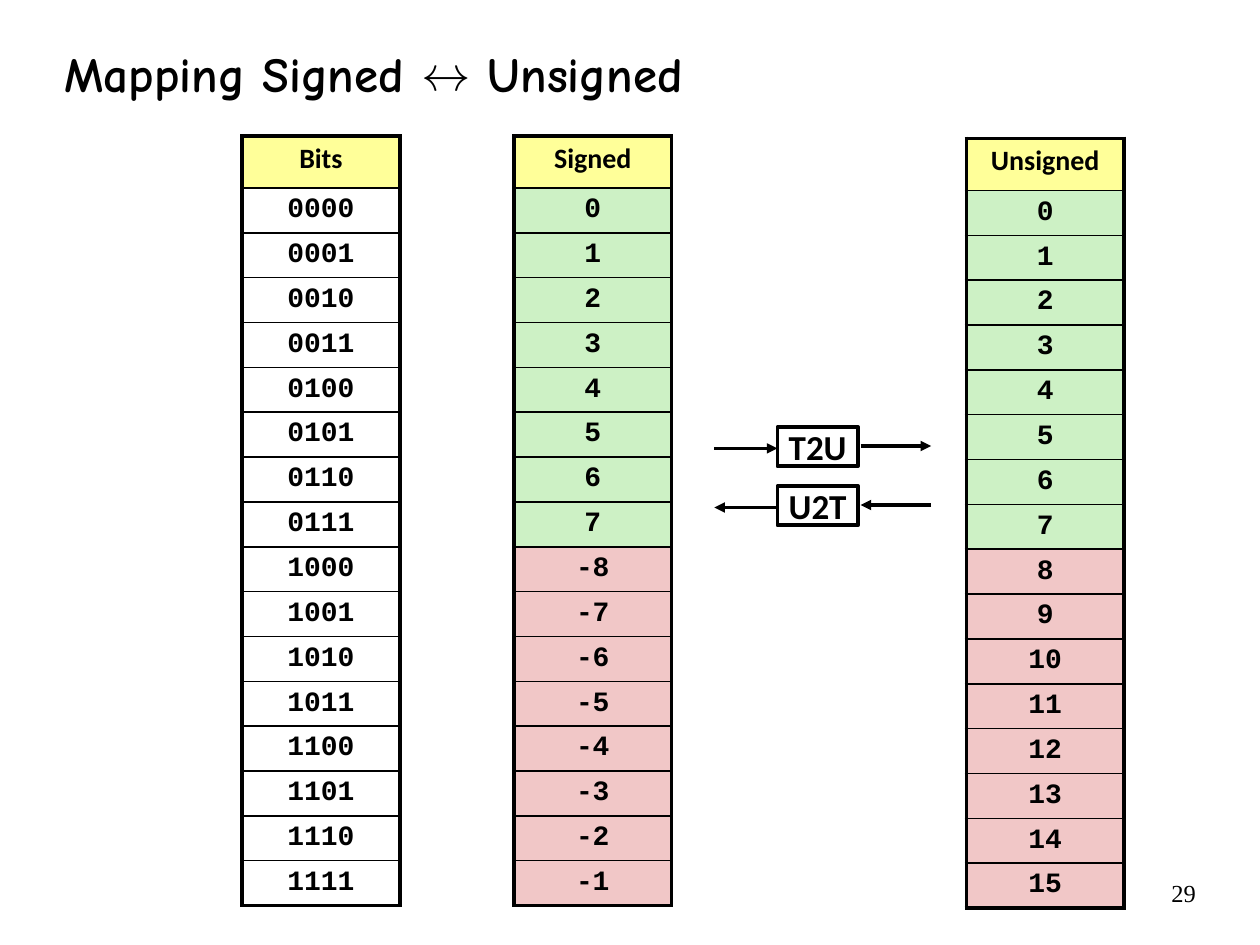
"""Build the slide that maps signed numbers to unsigned numbers."""
import pptx
import pptx.dml.color
import pptx.enum.shapes
import pptx.enum.text
import pptx.oxml
import pptx.oxml.ns
import pptx.util

Cm = pptx.util.Cm
Pt = pptx.util.Pt
ALIGN = pptx.enum.text.PP_ALIGN
ANCHOR = pptx.enum.text.MSO_ANCHOR

COLORS = {
    "ink": "000000",
    "paper": "FFFFFF",
    "header": "FFFF99",
    "same": "CDF1C5",
    "changed": "F1C7C7",
}

TITLE_FONT = {"name": "Comic Neue", "size": Pt(28), "bold": True}
HEADER_FONT = {"name": "Calibri", "size": Pt(16), "bold": True}
VALUE_FONT = {"name": "Courier New", "size": Pt(16), "bold": True}
LABEL_FONT = {"name": "Calibri", "size": Pt(20), "bold": True}
NUMBER_FONT = {"name": "Times New Roman", "size": Pt(14), "bold": False}

TITLE_FRAME = {
    "word_wrap": False,
    "vertical_anchor": ANCHOR.MIDDLE,
    "margin_left": Cm(0.18),
    "margin_right": Cm(0.18),
    "margin_top": Cm(0.08),
    "margin_bottom": Cm(0.08),
}
LABEL_FRAME = {"word_wrap": False, "vertical_anchor": ANCHOR.MIDDLE}
NUMBER_FRAME = {"word_wrap": True}
CELL_FRAME = {
    "margin_left": Cm(0.13),
    "margin_right": Cm(0.13),
    "margin_top": Cm(0.13),
    "margin_bottom": Cm(0.13),
    "vertical_anchor": ANCHOR.TOP,
}

COLUMN_WIDTH = 3.18
HEADER_HEIGHT = 1.05
VALUE_HEIGHT = 0.9
THICK, THIN = 2.25, 1
BOX_LEFT, BOX_WIDTH, BOX_HEIGHT = 15.67, 1.63, 0.79


def color(name):
    """Return the named colour as an RGB value."""
    return pptx.dml.color.RGBColor.from_string(COLORS[name])


def apply(target, values):
    """Set every attribute in values on the target."""
    for name, value in values.items():
        setattr(target, name, value)


def write(frame, text, font, align):
    """Write one formatted paragraph into a text frame."""
    para = frame.paragraphs[0]
    para.alignment = align
    span = para.add_run()
    span.text = text
    apply(span.font, font)
    span.font.color.rgb = color("ink")
    return para


def add_text(page, place, text, font, frame_format, align):
    """Add a text box at the given place."""
    box = page.shapes.add_textbox(*map(Cm, place))
    apply(box.text_frame, frame_format)
    write(box.text_frame, text, font, align)


def add_borders(cell, first, last):
    """Draw the cell borders, thick on the outside of the column."""
    widths = {
        "lnL": THICK,
        "lnR": THICK,
        "lnT": THICK if first else THIN,
        "lnB": THICK if last else THIN,
    }
    properties = cell._tc.get_or_add_tcPr()
    for tag, width in widths.items():
        properties.append(pptx.oxml.parse_xml(
            f'<a:{tag} {pptx.oxml.ns.nsdecls("a")} w="{Pt(width)}"><a:solidFill>'
            f'<a:srgbClr val="{COLORS["ink"]}"/></a:solidFill></a:{tag}>'))


def fill_cell(cell, text, font, fill):
    """Write a cell and colour its background."""
    apply(cell, CELL_FRAME)
    para = write(cell.text_frame, text, font, ALIGN.CENTER)
    para.line_spacing = 0.95
    if fill:
        cell.fill.solid()
        cell.fill.fore_color.rgb = color(fill)
    else:
        cell.fill.background()


def add_column(page, left, top, header, values, fills):
    """Add a one-column table with a header and its values."""
    height = HEADER_HEIGHT + VALUE_HEIGHT * len(values)
    table = page.shapes.add_table(
        len(values) + 1, 1, Cm(left), Cm(top), Cm(COLUMN_WIDTH), Cm(height)).table
    apply(table, {"first_row": False, "horz_banding": False})
    for index, text in enumerate([header, *values]):
        is_header = index == 0
        table.rows[index].height = Cm(HEADER_HEIGHT if is_header else VALUE_HEIGHT)
        cell = table.cell(index, 0)
        add_borders(cell, is_header, index == len(values))
        fill_cell(cell, text, HEADER_FONT if is_header else VALUE_FONT,
                  "header" if is_header else fills[index - 1])


def add_arrow(group, start, end, y):
    """Add a horizontal arrow that points at its end."""
    arrow = group.shapes.add_connector(
        pptx.enum.shapes.MSO_CONNECTOR.STRAIGHT, Cm(start), Cm(y), Cm(end), Cm(y))
    arrow.line.width = Pt(2)
    arrow.line.color.rgb = color("ink")
    namespace = pptx.oxml.ns.nsdecls("a")
    arrow.line._get_or_add_ln().append(
        pptx.oxml.parse_xml(f'<a:tailEnd {namespace} type="triangle"/>'))
    arrow._element.spPr.append(pptx.oxml.parse_xml(f"<a:effectLst {namespace}/>"))


def add_conversion(page, label, top, to_right):
    """Add a labelled conversion box with an arrow on each side."""
    group = page.shapes.add_group_shape()
    box = group.shapes.add_shape(
        pptx.enum.shapes.MSO_SHAPE.RECTANGLE,
        Cm(BOX_LEFT), Cm(top), Cm(BOX_WIDTH), Cm(BOX_HEIGHT))
    box.shadow.inherit = False
    box.fill.solid()
    box.fill.fore_color.rgb = color("paper")
    box.line.color.rgb = color("ink")
    box.line.width = Pt(2)
    apply(box.text_frame, LABEL_FRAME)
    write(box.text_frame, label, LABEL_FONT, ALIGN.CENTER)
    for left, right, drop in ((14.4, 15.67, 0.43), (17.35, 18.77, 0.38)):
        start, end = (left, right) if to_right else (right, left)
        add_arrow(group, start, end, top + drop)


def main():
    """Build and save the slide."""
    deck = pptx.Presentation()
    apply(deck, {"slide_width": Cm(25.4), "slide_height": Cm(19.05)})
    page = deck.slides.add_slide(deck.slide_layouts[6])

    add_text(page, (1.12, 0.69, 18.95, 1.55), "Mapping Signed ↔ Unsigned",
             TITLE_FONT, TITLE_FRAME, ALIGN.LEFT)

    numbers = range(16)
    bits = [f"{number:04b}" for number in numbers]
    signed = [str(number if number < 8 else number - 16) for number in numbers]
    unsigned = [str(number) for number in numbers]
    fills = ["same"] * 8 + ["changed"] * 8
    add_column(page, 10.36, 2.74, "Signed", signed, fills)
    add_column(page, 19.48, 2.79, "Unsigned", unsigned, fills)
    add_column(page, 4.88, 2.74, "Bits", bits, [None] * 16)

    add_conversion(page, "U2T", 9.8, False)
    add_conversion(page, "T2U", 8.61, True)
    add_text(page, (20.75, 17.58, 3.61, 0.84), "29",
             NUMBER_FONT, NUMBER_FRAME, ALIGN.RIGHT)
    deck.save("out.pptx")


if __name__ == "__main__":
    main()
